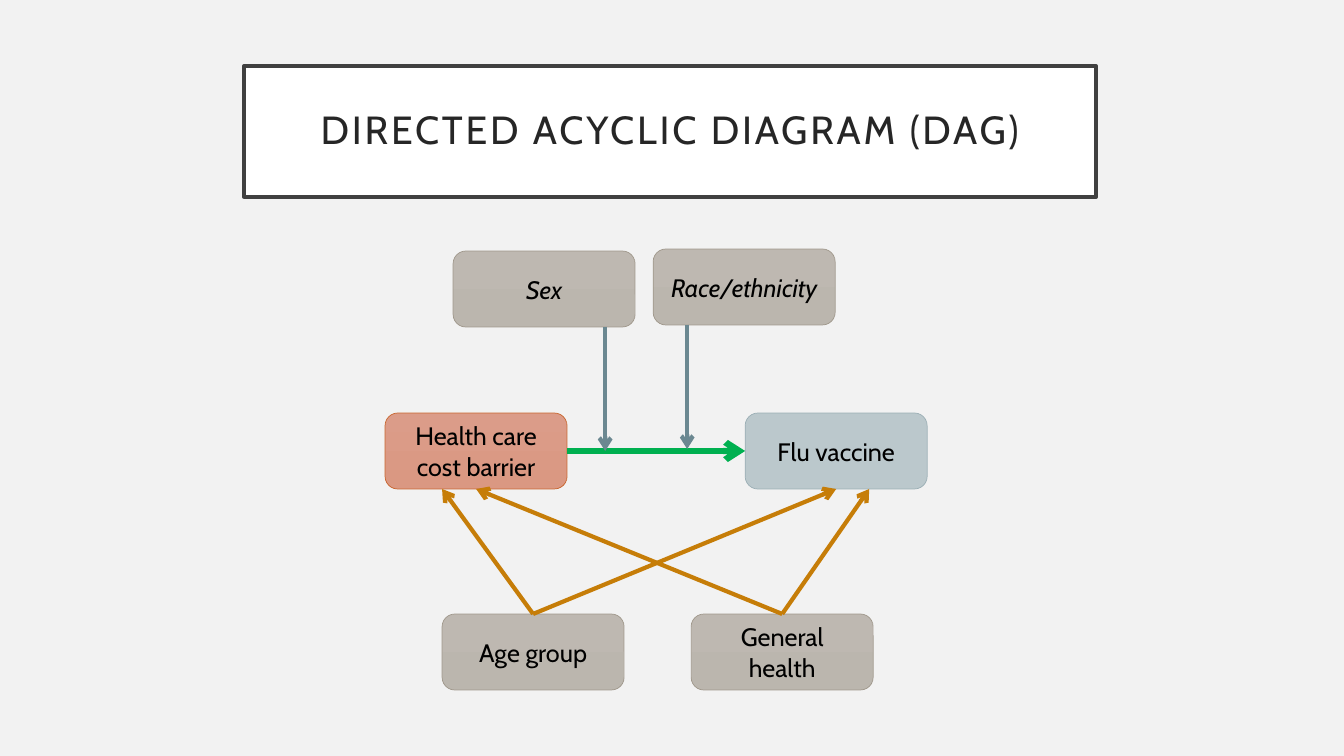
from dataclasses import dataclass

from lxml import etree
from pptx import Presentation
from pptx import util as u
from pptx.dml.color import RGBColor
from pptx.enum import shapes, text
from pptx.oxml import ns

SCALE = 914400 / 100.8
WIDE, HIGH = 182, 76


@dataclass(frozen=True)
class Theme:
    font: str = "Cabin"
    back: str = "F2F2F2"
    panel: str = "FFFFFF"
    frame: str = "404040"
    title: str = "262626"
    ink: str = "000000"
    cause: tuple = ("DB9C89", "DA9882", "C96731")
    effect: tuple = ("BBC8CC", "B8C6CB", "9BAFB5")
    factor: tuple = ("BEB8B1", "BBB6AE", "A0988C")
    main: str = "00B050"
    bias: str = "C67D08"
    modify: str = "6B8891"
    head: float = 28
    label: float = 18


T = Theme()


def px(*vals):
    return [u.Emu(round(v * SCALE)) for v in vals]


def rgb(code):
    return RGBColor.from_string(code)


def stroke(line, color, width):
    line.color.rgb = rgb(color)
    line.width = u.Pt(width)


def write(shape, words, size=T.label, color=T.ink, italic=False, gap=0, lead=1.0, inset=None):
    frame = shape.text_frame
    frame.word_wrap = True
    frame.auto_size = text.MSO_AUTO_SIZE.NONE
    frame.vertical_anchor = text.MSO_ANCHOR.MIDDLE
    if inset is not None:
        frame.margin_left = frame.margin_right = u.Inches(inset)
        frame.margin_top = frame.margin_bottom = u.Inches(inset)
    para = frame.paragraphs[0]
    para.alignment = text.PP_ALIGN.CENTER
    para.line_spacing = lead
    run = para.add_run()
    run.text = words
    font = run.font
    font.name, font.size, font.italic = T.font, u.Pt(size), italic
    font.color.rgb = rgb(color)
    if gap:
        run._r.get_or_add_rPr().set("spc", str(gap * 100))


def head(slide, words):
    title = slide.shapes.title
    title.left, title.top, title.width, title.height = px(244, 66, 852, 131)
    title.fill.solid()
    title.fill.fore_color.rgb = rgb(T.panel)
    stroke(title.line, T.frame, 2.5)
    write(title, words, size=T.head, color=T.title, gap=2, lead=0.9, inset=0.2)


def node(slide, words, left, top, look=T.factor, italic=False):
    box = slide.shapes.add_shape(
        shapes.MSO_SHAPE.ROUNDED_RECTANGLE, *px(left, top, WIDE, HIGH))
    box.shadow.inherit = False
    box.fill.gradient()
    box.fill.gradient_angle = 270
    for stop, color in zip(box.fill.gradient_stops, look):
        stop.color.rgb = rgb(color)
    stroke(box.line, look[2], 0.5)
    write(box, words, italic=italic)
    return box


def arrow(slide, start, end, color, width=3):
    line = slide.shapes.add_connector(
        shapes.MSO_CONNECTOR.STRAIGHT, *px(*start, *end))
    stroke(line.line, color, width)
    tip = etree.SubElement(line.line._get_or_add_ln(), ns.qn("a:tailEnd"))
    tip.set("type", "arrow")
    etree.SubElement(line._element.spPr, ns.qn("a:effectLst"))
    return line


def main():
    deck = Presentation()
    deck.slide_width, deck.slide_height = u.Inches(13.33), u.Inches(7.5)
    slide = deck.slides.add_slide(deck.slide_layouts[5])
    slide.background.fill.solid()
    slide.background.fill.fore_color.rgb = rgb(T.back)

    cause = node(slide, "Health care cost barrier", 385, 413, T.cause)
    head(slide, "DIRECTED ACYCLIC DIAGRAM (DAG)")
    effect = node(slide, "Flu vaccine", 745, 413, T.effect)
    age = node(slide, "Age group", 442, 614)
    health = node(slide, "General health", 691, 614)
    node(slide, "Sex", 453, 251, italic=True)
    node(slide, "Race/ethnicity", 653, 249, italic=True)

    link = arrow(slide, (567, 451), (745, 451), T.main, 4.5)
    link.begin_connect(cause, 3)
    link.end_connect(effect, 1)
    for box, mid, ends in ((age, 533, (442, 836)), (health, 782, (476, 869))):
        for end in ends:
            arrow(slide, (mid, 614), (end, 489), T.bias).begin_connect(box, 0)
    for left, top in ((605, 327), (687, 325)):
        arrow(slide, (left, top), (left, top + 124), T.modify)

    deck.save("out.pptx")


main()
